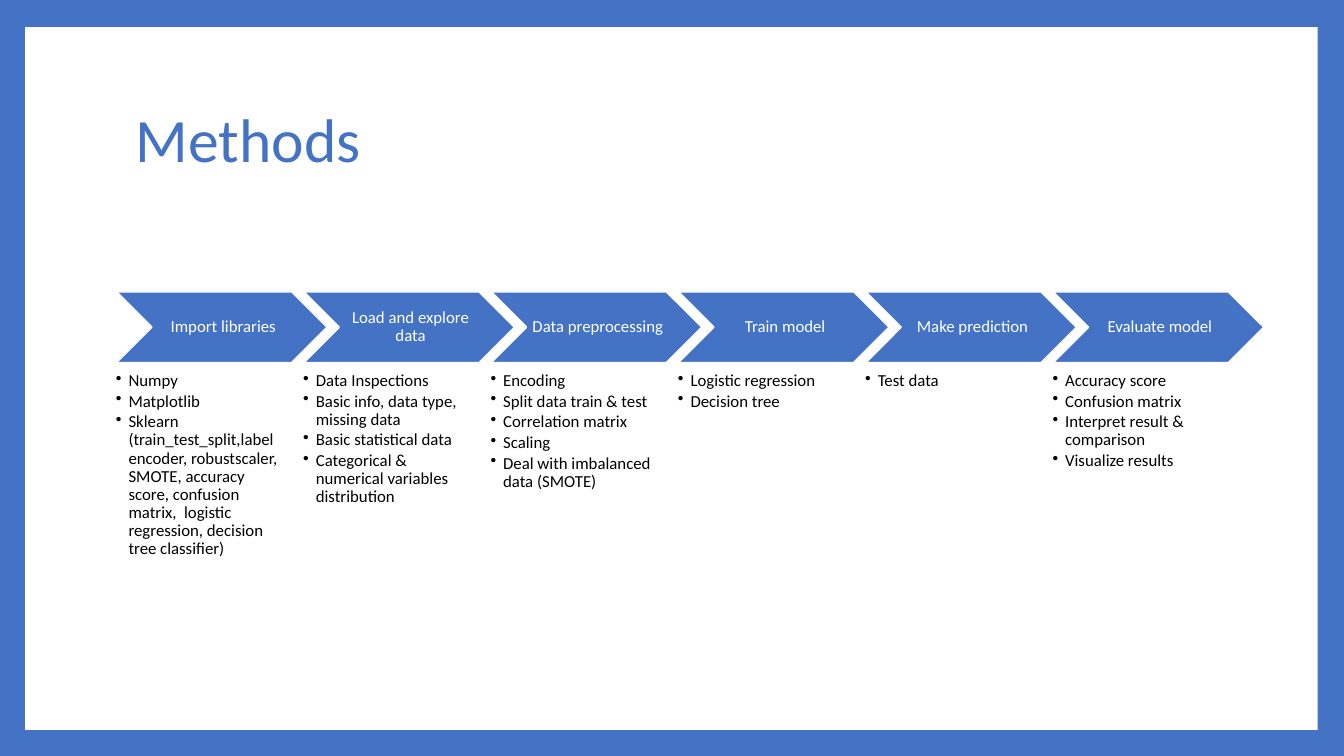
from lxml import etree
from pptx import Presentation
from pptx.dml.color import RGBColor
from pptx.enum.shapes import MSO_SHAPE
from pptx.enum.text import MSO_ANCHOR, PP_ALIGN
from pptx.oxml.ns import qn
from pptx.util import Pt

RECT = MSO_SHAPE.RECTANGLE
CHEVRON = MSO_SHAPE.CHEVRON
MIDDLE = MSO_ANCHOR.MIDDLE
TOP = MSO_ANCHOR.TOP
CENTER = PP_ALIGN.CENTER
LEFT = PP_ALIGN.LEFT

BLUE = "4472C4"
WHITE = "FFFFFF"
BLACK = "000000"
FONT = "Calibri"

START = 82.8
PITCH = 133.8

STEPS = [
    ("Import libraries", [
        "Numpy",
        "Matplotlib",
        "Sklearn (train_test_split,label encoder, robustscaler, SMOTE, "
        "accuracy score, confusion matrix,  logistic regression, "
        "decision tree classifier)",
    ]),
    ("Load and explore data", [
        "Data Inspections",
        "Basic info, data type, missing data",
        "Basic statistical data",
        "Categorical & numerical variables distribution",
    ]),
    ("Data preprocessing", [
        "Encoding",
        "Split data train & test",
        "Correlation matrix",
        "Scaling",
        "Deal with imbalanced data (SMOTE)",
    ]),
    ("Train model", ["Logistic regression", "Decision tree"]),
    ("Make prediction", ["Test data"]),
    ("Evaluate model", [
        "Accuracy score",
        "Confusion matrix",
        "Interpret result & comparison",
        "Visualize results",
    ]),
]


def color(code):
    return RGBColor.from_string(code)


def add_shape(slide, kind, box, fill, edge=None):
    shape = slide.shapes.add_shape(kind, *map(Pt, box))
    shape.shadow.inherit = False
    shape.fill.solid()
    shape.fill.fore_color.rgb = color(fill)
    if edge:
        shape.line.color.rgb = color(edge)
        shape.line.width = Pt(1.5)
    else:
        shape.line.fill.background()


def add_text(slide, box, lines, size, ink, pads, anchor, align=LEFT, after=0):
    frame = slide.shapes.add_textbox(*map(Pt, box)).text_frame
    frame.word_wrap = True
    frame.vertical_anchor = anchor
    (frame.margin_left, frame.margin_top,
     frame.margin_right, frame.margin_bottom) = map(Pt, pads)
    frame.text = "\n".join(lines)
    for para in frame.paragraphs:
        para.alignment = align
        para.line_spacing = 0.9
        para.space_after = Pt(after)
        for run in para.runs:
            run.font.name = FONT
            run.font.size = Pt(size)
            run.font.color.rgb = color(ink)
    return frame


def add_bullets(frame):
    for para in frame.paragraphs:
        para.level = 1
        props = para._p.get_or_add_pPr()
        props.set("marL", str(Pt(9)))
        props.set("indent", str(-Pt(9)))
        etree.SubElement(props, qn("a:buChar")).set("char", "•")


def add_step(slide, left, label, items):
    add_shape(slide, CHEVRON, (left, 208.2, 151.2, 51), BLUE, WHITE)
    add_text(slide, (left + 25.6, 208.2, 100, 51), [label], 12, WHITE,
             (3.6, 1.4, 1.4, 1.4), MIDDLE, CENTER)
    frame = add_text(slide, (left, 265.7, 121, 140.4), items, 12, BLACK,
                     (0, 0, 0, 0), TOP, after=1.8)
    add_bullets(frame)


def main():
    deck = Presentation()
    deck.slide_width = Pt(960)
    deck.slide_height = Pt(540)
    slide = deck.slides.add_slide(deck.slide_layouts[6])
    back = slide.background.fill
    back.solid()
    back.fore_color.rgb = color(BLUE)
    add_shape(slide, RECT, (18, 19.4, 923.2, 502), WHITE)
    add_text(slide, (90, 48.2, 777.6, 106.6), ["Methods"], 44, BLUE,
             (7.2, 3.6, 7.2, 3.6), MIDDLE)
    for index, (label, items) in enumerate(STEPS):
        add_step(slide, START + index * PITCH, label, items)
    deck.save("out.pptx")


if __name__ == "__main__":
    main()
